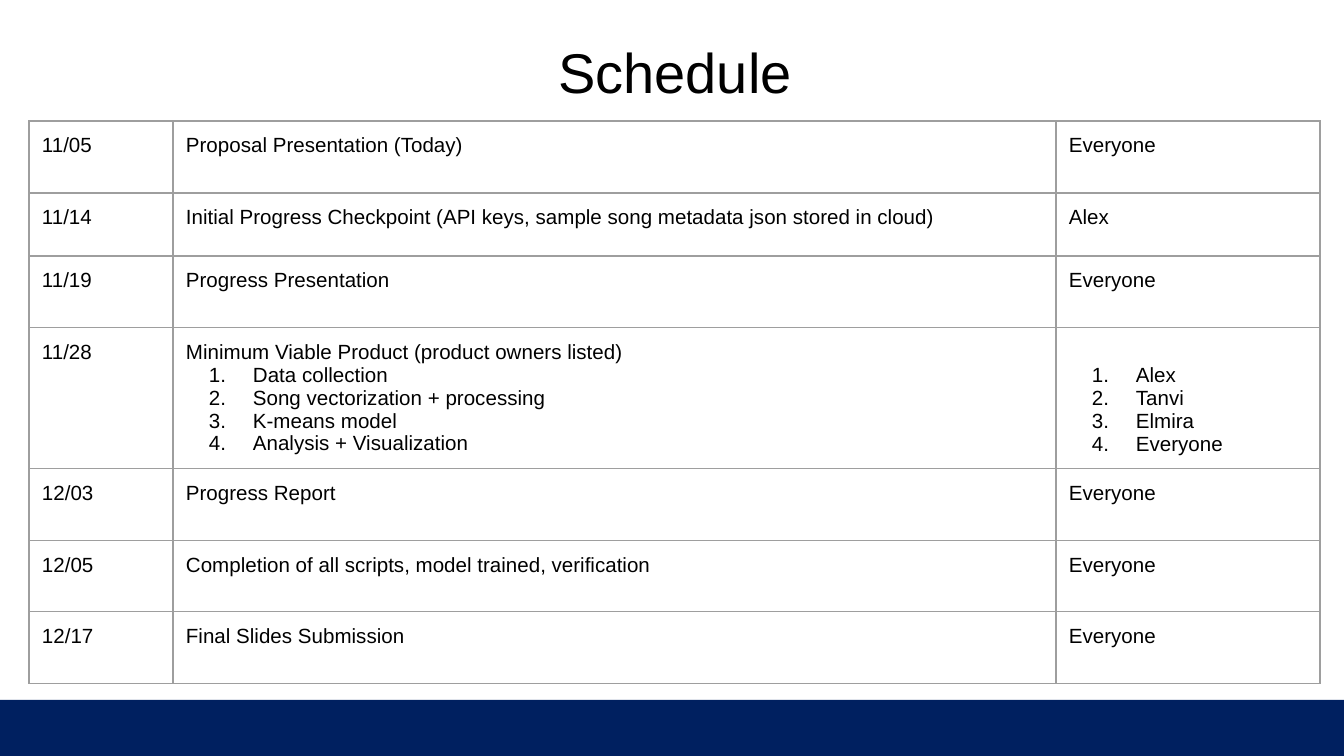
from lxml.etree import SubElement
from pptx import Presentation
from pptx.dml.color import RGBColor
from pptx.enum.shapes import MSO_SHAPE
from pptx.enum.text import MSO_ANCHOR, PP_ALIGN
from pptx.oxml.ns import qn
from pptx.util import Pt

PX = 9144000 / 1344
COLORS = {"text": "000000", "band": "002060", "border": "9E9E9E", "background": "FFFFFF"}
FONT = "Arial"
MARGIN = 13
LINE_HEIGHT = 23
COLUMN_WIDTHS = [144, 883, 264]
ROW_HEIGHTS = [72, 63, 72, 141, 72, 71, 72]

# Each cell is a plain line and a numbered list
SCHEDULE = [
    ("11/05", "Proposal Presentation (Today)", [], "Everyone", []),
    ("11/14", "Initial Progress Checkpoint (API keys, sample song metadata json stored in cloud)",
     [], "Alex", []),
    ("11/19", "Progress Presentation", [], "Everyone", []),
    ("11/28", "Minimum Viable Product (product owners listed)",
     ["Data collection", "Song vectorization + processing", "K-means model",
      "Analysis + Visualization"],
     "", ["Alex", "Tanvi", "Elmira", "Everyone"]),
    ("12/03", "Progress Report", [], "Everyone", []),
    ("12/05", "Completion of all scripts, model trained, verification", [], "Everyone", []),
    ("12/17", "Final Slides Submission", [], "Everyone", []),
]


def px(*lengths):
    """Turn pixel lengths into EMU."""
    return [round(length * PX) for length in lengths]


def fill_cell(cell, line, items):
    """Write a line and a numbered list, and draw the cell's borders."""
    cell.margin_left, cell.margin_right, cell.margin_top, cell.margin_bottom = px(*[MARGIN] * 4)
    if items and not line:
        # The list lines up with the one beside it, which follows a heading
        cell.margin_top = px(MARGIN + LINE_HEIGHT)[0]
    cell.vertical_anchor = MSO_ANCHOR.TOP
    lines = [line] if line else []
    cell.text_frame.text = "\n".join(lines + items)

    for index, para in enumerate(cell.text_frame.paragraphs):
        for span in para.runs:
            span.font.size = Pt(11)
            span.font.name = FONT
            span.font.color.rgb = RGBColor.from_string(COLORS["text"])
        if index >= len(lines):
            properties = para._p.get_or_add_pPr()
            indent, hanging = px(67, -44)
            properties.set("marL", str(indent))
            properties.set("indent", str(hanging))
            number_color = SubElement(properties, qn("a:buClr"))
            SubElement(number_color, qn("a:srgbClr"), val=COLORS["text"])
            SubElement(properties, qn("a:buAutoNum"), type="arabicPeriod")

    cell_properties = cell._tc.get_or_add_tcPr()
    for side in ("lnL", "lnR", "lnT", "lnB"):
        border = SubElement(cell_properties, qn(f"a:{side}"), w=str(Pt(0.75)))
        border_fill = SubElement(border, qn("a:solidFill"))
        SubElement(border_fill, qn("a:srgbClr"), val=COLORS["border"])
    cell.fill.background()


deck = Presentation()
deck.slide_width, deck.slide_height = px(1344, 756)
page = deck.slides.add_slide(deck.slide_layouts[5])
page.background.fill.solid()
page.background.fill.fore_color.rgb = RGBColor.from_string(COLORS["background"])

# Footer band
band = page.shapes.add_shape(MSO_SHAPE.RECTANGLE, *px(0, 700, 1344, 56))
band.shadow.inherit = False
band.fill.solid()
band.fill.fore_color.rgb = RGBColor.from_string(COLORS["band"])
band.line.fill.background()

# Title
title = page.shapes.title
title.left, title.top, title.width, title.height = px(29, 9, 1292, 102)
title.text_frame.text = "Schedule"
title.text_frame.vertical_anchor = MSO_ANCHOR.BOTTOM
heading = title.text_frame.paragraphs[0]
heading.alignment = PP_ALIGN.CENTER
heading.runs[0].font.size = Pt(30)
heading.runs[0].font.name = FONT
heading.runs[0].font.color.rgb = RGBColor.from_string(COLORS["text"])

# Schedule table
frame = page.shapes.add_table(
    len(ROW_HEIGHTS), len(COLUMN_WIDTHS),
    *px(29, 121, sum(COLUMN_WIDTHS), sum(ROW_HEIGHTS)))
table = frame.table
table.first_row = False
table.horz_banding = False
for column, width in zip(table.columns, px(*COLUMN_WIDTHS)):
    column.width = width
for row, height in zip(table.rows, px(*ROW_HEIGHTS)):
    row.height = height
for row, (date, task, steps, owner, step_owners) in zip(table.rows, SCHEDULE):
    contents = [(date, []), (task, steps), (owner, step_owners)]
    for cell, (line, items) in zip(row.cells, contents):
        fill_cell(cell, line, items)

deck.save("out.pptx")
